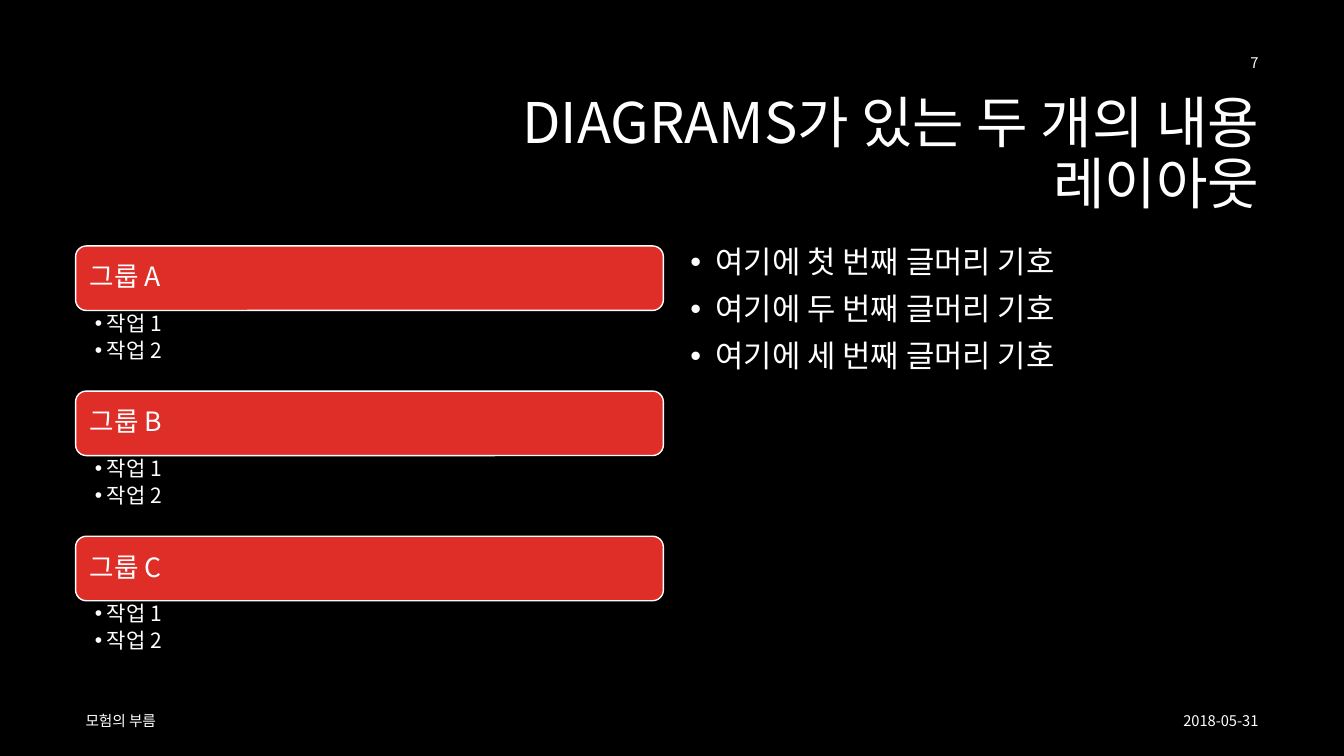
import pptx
import pptx.util
import pptx.dml.color
import pptx.enum.shapes
import pptx.enum.text
import pptx.oxml.ns
from lxml import etree

Inches, Pt = pptx.util.Inches, pptx.util.Pt
RGBColor = pptx.dml.color.RGBColor
ALIGN = pptx.enum.text.PP_ALIGN
ANCHOR = pptx.enum.text.MSO_ANCHOR
qn = pptx.oxml.ns.qn

BLACK = RGBColor(0x00, 0x00, 0x00)
WHITE = RGBColor(0xFF, 0xFF, 0xFF)
RED = RGBColor(0xDF, 0x2E, 0x28)
FONT = "Noto Sans CJK KR"

TITLE = "DIAGRAMS가 있는 두 개의 내용 레이아웃"
GROUPS = [
    ("그룹 A", ["작업 1", "작업 2"]),
    ("그룹 B", ["작업 1", "작업 2"]),
    ("그룹 C", ["작업 1", "작업 2"]),
]
BULLETS = [
    "여기에 첫 번째 글머리 기호",
    "여기에 두 번째 글머리 기호",
    "여기에 세 번째 글머리 기호",
]
# text, left, top, width, alignment
SMALL_TEXTS = [
    ("2018-05-31", 9.4, 6.95, 3.18, ALIGN.RIGHT),
    ("모험의 부름", 0.75, 6.95, 8.5, ALIGN.LEFT),
    ("7", 9.58, 0.42, 3, ALIGN.RIGHT),
]

LEFT, COLUMN_W = 0.75, 5.83
GROUPS_TOP, BAR_H, TASKS_H = 2.44, 0.64, 0.8


def write(sp, lines, size, align=ALIGN.LEFT, anchor=ANCHOR.TOP, spacing=0.9,
          before=0, after=0, hang=0, insets=(0.1, 0.05, 0.1, 0.05)):
    """Fill a shape with paragraphs; a hang above 0 gives bullets that indent."""
    tf = sp.text_frame
    tf.word_wrap = True
    tf.auto_size = pptx.enum.text.MSO_AUTO_SIZE.NONE
    tf.vertical_anchor = anchor
    tf.margin_left, tf.margin_top, tf.margin_right, tf.margin_bottom = map(Inches, insets)
    for i, line in enumerate(lines):
        p = tf.paragraphs[0] if i == 0 else tf.add_paragraph()
        p.alignment = align
        p.line_spacing = spacing
        p.space_before, p.space_after = Pt(before), Pt(after)
        r = p.add_run()
        r.text = line
        r.font.size = Pt(size)
        r.font.name = FONT
        r.font.color.rgb = WHITE
        etree.SubElement(r.font._element, qn("a:ea")).set("typeface", FONT)
        if hang:
            pPr = p._p.get_or_add_pPr()
            pPr.set("marL", str(Inches(hang)))
            pPr.set("indent", str(-Inches(hang)))
            etree.SubElement(pPr, qn("a:buFont")).set("typeface", "Arial")
            etree.SubElement(pPr, qn("a:buChar")).set("char", "•")


def add_text(s, left, top, width, height, lines, size, **fmt):
    box = s.shapes.add_textbox(Inches(left), Inches(top), Inches(width), Inches(height))
    write(box, lines, size, **fmt)


def add_group(s, top, name, tasks):
    bar = s.shapes.add_shape(pptx.enum.shapes.MSO_SHAPE.ROUNDED_RECTANGLE,
                             Inches(LEFT), Inches(top), Inches(COLUMN_W), Inches(BAR_H))
    bar.shadow.inherit = False
    bar.fill.solid()
    bar.fill.fore_color.rgb = RED
    bar.line.color.rgb = WHITE
    bar.line.width = Pt(1)
    write(bar, [name], 19, anchor=ANCHOR.MIDDLE, insets=(0.11, 0.11, 0.11, 0.11))
    add_text(s, LEFT, top + BAR_H, COLUMN_W, TASKS_H, tasks, 15, after=3, hang=0.12,
             insets=(0.19, 0.03, 0.15, 0.03))


def main():
    prs = pptx.Presentation()
    prs.slide_width, prs.slide_height = Inches(13.33), Inches(7.5)
    s = prs.slides.add_slide(prs.slide_layouts[5])
    s.background.fill.solid()
    s.background.fill.fore_color.rgb = BLACK

    title = s.shapes.title
    title.left, title.top = Inches(3.17), Inches(0.84)
    title.width, title.height = Inches(9.42), Inches(1.41)
    write(title, [TITLE], 40, align=ALIGN.RIGHT, anchor=ANCHOR.MIDDLE)

    for i, (name, tasks) in enumerate(GROUPS):
        add_group(s, GROUPS_TOP + i * (BAR_H + TASKS_H), name, tasks)

    add_text(s, 6.75, 2.4, COLUMN_W, 4.4, BULLETS, 22, before=10, hang=0.25)
    for text, left, top, width, align in SMALL_TEXTS:
        add_text(s, left, top, width, 0.4, [text], 10.5, align=align,
                 anchor=ANCHOR.MIDDLE, spacing=1.0)

    prs.save("out.pptx")


if __name__ == "__main__":
    main()
